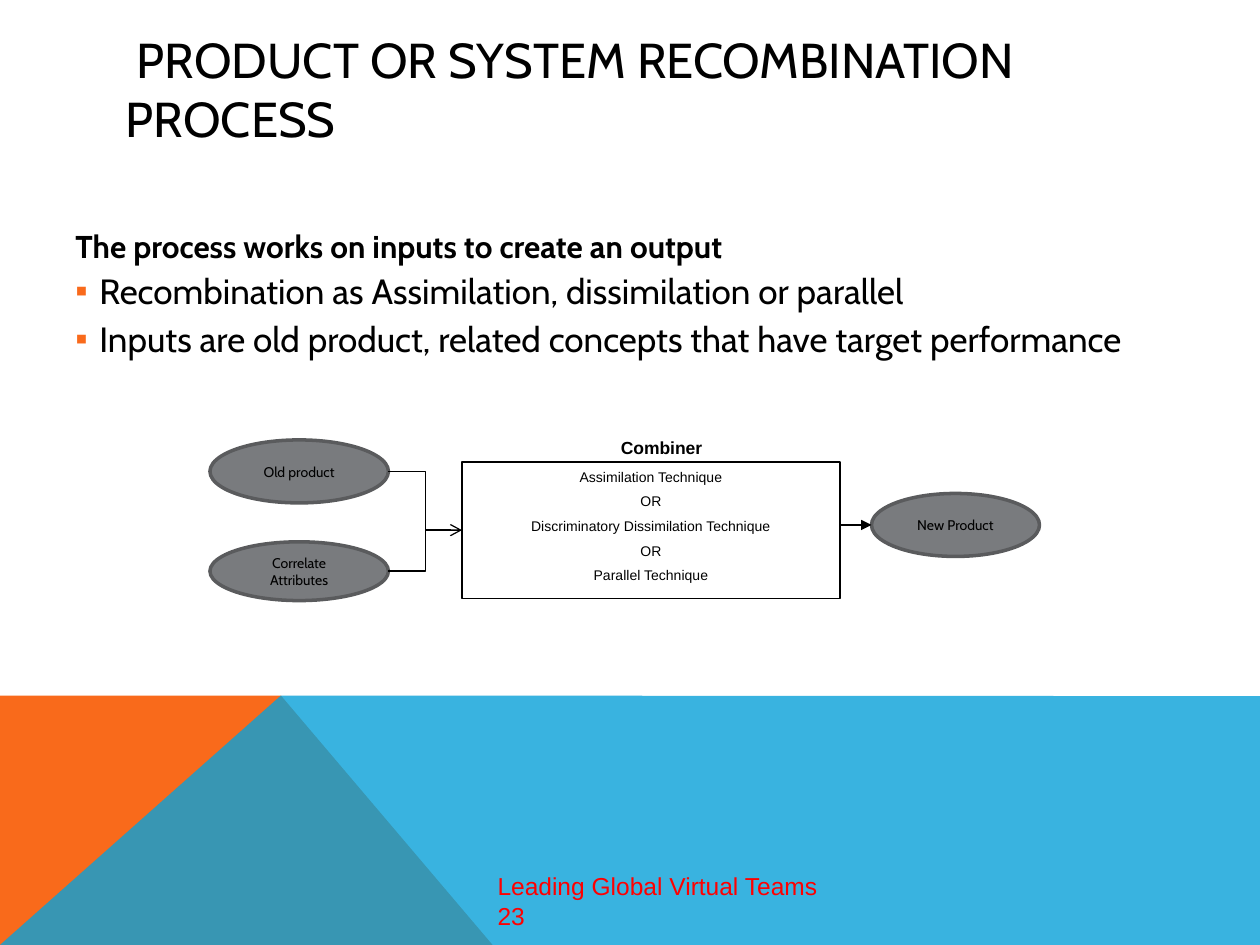
from dataclasses import dataclass
from typing import Any

from lxml.etree import SubElement as Sub
from pptx import Presentation
from pptx.dml.color import RGBColor as Rgb
from pptx.enum.shapes import MSO_CONNECTOR as Conn, MSO_SHAPE as Kind
from pptx.enum.text import MSO_ANCHOR as Anchor, PP_ALIGN as Align
from pptx.oxml.ns import qn
from pptx.util import Inches, Pt

HUES = {
    "ink": "000000", "orange": "F96A1B", "blue": "08A1D9",
    "red": "FF0000", "gray": "797B7E", "edge": "5A5B5D",
}
WIDE, HIGH = 10, 7.5
COLS, ROWS = 120, 90


@dataclass
class Box:
    col: float
    row: float
    cols: float
    rows: float

    def rect(self) -> tuple:
        return across(self.col), down(self.row), across(self.cols), down(self.rows)


@dataclass
class Style:
    size: float
    font: str = "Cabin"
    hue: str = "ink"
    bold: bool = False
    align: Any = Align.LEFT
    gap: float = 0


@dataclass
class Node:
    text: str
    box: Box


@dataclass
class Link:
    kind: Any
    start: tuple
    end: tuple
    head: str = ""


@dataclass
class Label:
    text: str
    box: Box
    style: Style
    anchor: Any = Anchor.TOP


@dataclass
class Patch:
    hue: str
    points: list
    alpha: int = 100


PATCHES = [
    Patch("orange", [(0, 90), (0, 66.24), (26.76, 66.24), (46.92, 90)]),
    Patch("blue", [(0, 90), (26.76, 66.24), (120, 66.3), (120, 90)], 80),
]
LABELS = [
    Label("Leading Global Virtual Teams\n23", Box(46.2, 82.4, 73.8, 3.6),
          Style(14, "Arial", "red")),
    Label(" PRODUCT OR SYSTEM RECOMBINATION PROCESS", Box(10.8, 4.8, 106.2, 7.2),
          Style(28), Anchor.MIDDLE),
    Label("Assimilation Technique\nOR\nDiscriminatory Dissimilation Technique\n"
          "OR\nParallel Technique", Box(45, 44, 34, 12.5),
          Style(8, "Arial", align=Align.CENTER, gap=4.5)),
    Label("Combiner", Box(44, 41, 38, 3.2),
          Style(10, "Arial", bold=True, align=Align.CENTER)),
]
LEAD = "The process works on inputs to create an output"
POINTS = [
    "Recombination as Assimilation, dissimilation or parallel",
    "Inputs are old product, related concepts that have target performance",
]
NODES = [
    Node("Old product", Box(20, 41.9, 17, 6)),
    Node("Correlate\nAttributes", Box(20, 51.6, 17, 5.6)),
    Node("New Product", Box(83, 47, 16, 6)),
]
LINKS = [
    Link(Conn.ELBOW, (37, 44.9), (44, 50.5)),
    Link(Conn.STRAIGHT, (80, 50), (83, 50), "triangle"),
    Link(Conn.ELBOW, (37, 54.4), (44, 50.5), "arrow"),
]


def across(cols: float) -> int:
    return Inches(WIDE * cols / COLS)


def down(rows: float) -> int:
    return Inches(HIGH * rows / ROWS)


def tint(hue: str) -> Rgb:
    return Rgb.from_string(HUES[hue])


def paint(shape: Any, hue: str) -> None:
    shape.shadow.inherit = False
    shape.fill.solid()
    shape.fill.fore_color.rgb = tint(hue)


def stroke(shape: Any, hue: str, width: float) -> None:
    shape.line.color.rgb = tint(hue)
    shape.line.width = Pt(width)


def dress(para: Any, style: Style) -> None:
    para.alignment = style.align
    para.space_before = Pt(style.gap)
    for run in para.runs:
        font = run.font
        font.name, font.size, font.bold = style.font, Pt(style.size), style.bold
        font.color.rgb = tint(style.hue)


def write(shape: Any, text: str, style: Style, anchor: Any) -> None:
    frame = shape.text_frame
    frame.word_wrap = True
    frame.vertical_anchor = anchor
    frame.text = text
    for para in frame.paragraphs:
        dress(para, style)


def draw_patch(tree: Any, patch: Patch) -> None:
    spots = [(across(x), down(y)) for x, y in patch.points]
    pen = tree.build_freeform(*spots[0])
    pen.add_line_segments(spots[1:], close=True)
    shape = pen.convert_to_shape()
    paint(shape, patch.hue)
    shape.line.fill.background()
    if patch.alpha < 100:
        color = shape.element.spPr.find(qn("a:solidFill"))[0]
        Sub(color, qn("a:alpha"), val=str(patch.alpha * 1000))


def draw_label(tree: Any, label: Label) -> None:
    shape = tree.add_textbox(*label.box.rect())
    write(shape, label.text, label.style, label.anchor)


def draw_body(tree: Any) -> None:
    shape = tree.add_textbox(*Box(6, 21, 111, 19).rect())
    write(shape, "\n".join([LEAD, *POINTS]), Style(20, gap=3), Anchor.TOP)
    lead, *items = shape.text_frame.paragraphs
    dress(lead, Style(18, bold=True, gap=8))
    for item in items:
        props = item._p.get_or_add_pPr()
        props.set("marL", str(Inches(0.19)))
        props.set("indent", str(-Inches(0.19)))
        mark = Sub(props, qn("a:buClr"))
        Sub(mark, qn("a:srgbClr"), val=HUES["orange"])
        Sub(props, qn("a:buFont"), typeface="Arial")
        Sub(props, qn("a:buChar"), char="▪")


def draw_node(tree: Any, node: Node) -> None:
    shape = tree.add_shape(Kind.OVAL, *node.box.rect())
    paint(shape, "gray")
    stroke(shape, "edge", 2)
    write(shape, node.text, Style(8, align=Align.CENTER), Anchor.MIDDLE)


def draw_frame(tree: Any) -> None:
    shape = tree.add_shape(Kind.RECTANGLE, *Box(44, 44, 36, 13).rect())
    shape.shadow.inherit = False
    shape.fill.background()
    stroke(shape, "ink", 0.75)


def draw_link(tree: Any, link: Link) -> None:
    (left, top), (right, low) = link.start, link.end
    line = tree.add_connector(link.kind, across(left), down(top), across(right), down(low))
    stroke(line, "ink", 0.75)
    if link.head:
        Sub(line.line._get_or_add_ln(), qn("a:tailEnd"), type=link.head)
    Sub(line._element.spPr, qn("a:effectLst"))


def main() -> None:
    """Build the recombination process slide."""
    deck = Presentation()
    deck.slide_width, deck.slide_height = Inches(WIDE), Inches(HIGH)
    tree = deck.slides.add_slide(deck.slide_layouts[6]).shapes
    for patch in PATCHES:
        draw_patch(tree, patch)
    for label in LABELS:
        draw_label(tree, label)
    draw_body(tree)
    for node in NODES:
        draw_node(tree, node)
    draw_frame(tree)
    for link in LINKS:
        draw_link(tree, link)
    deck.save("out.pptx")


if __name__ == "__main__":
    main()
